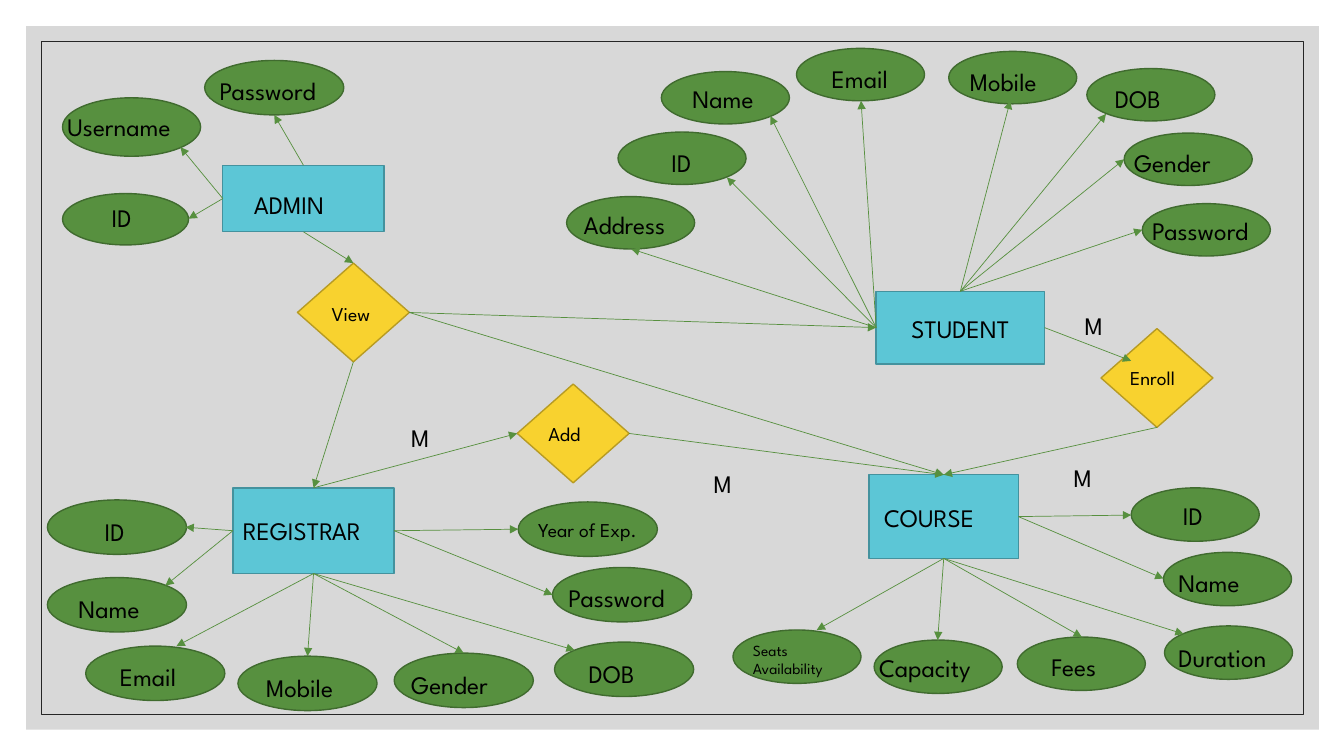
from lxml.etree import SubElement
from pptx import Presentation
from pptx.dml.color import RGBColor
from pptx.enum.shapes import MSO_CONNECTOR as Connector, MSO_SHAPE as Preset
from pptx.enum.text import MSO_ANCHOR as Anchor, MSO_AUTO_SIZE as AutoSize, PP_ALIGN as Align
from pptx.oxml.ns import qn
from pptx.util import Emu, Pt

EMU_PER_PX = 9144
TOP, LEFT, BOTTOM, RIGHT = range(4)

ENTITIES = [
    ("REGISTRAR", (231, 484, 160, 85), (231, 506, 160)),
    ("COURSE", (862, 471, 148, 83), (867, 493, 154)),
    ("ADMIN", (221, 164, 160, 66), (242, 183, 120)),
    ("STUDENT", (869, 289, 167, 72), (894, 306, 136)),
]

RELATIONS = [
    ("View", (295, 261), (319, 295, 144)),
    ("Add", (513, 381), (534, 414, 144)),
    ("Enroll", (1092, 326), (1111, 358, 144)),
]

ATTRIBUTES = [
    ("REGISTRAR", (138, 54), [
        ("Name", (47, 573), (68, 584, 118), LEFT, (164, 581)),
        ("Email", (85, 641), (109, 651, 115), BOTTOM, (175, 641)),
        ("Mobile", (236, 651), (254, 662, 122), BOTTOM, (305, 651)),
        ("Gender", (391, 648), (398, 659, 132), BOTTOM, (460, 648)),
        ("ID", (47, 496), (94, 507, 92), LEFT, (184, 523)),
        ("Password", (548, 563), (554, 573, 134), RIGHT, (548, 590)),
        ("Year of Exp.", (514, 498), (524, 509, 187), RIGHT, (514, 525), 14),
        ("DOB", (550, 637), (574, 648, 114), BOTTOM, (570, 645)),
    ]),
    ("COURSE", (127, 53), [
        ("Seats Availability", (727, 625), (737, 631, 127), BOTTOM, (810, 625), 11),
        ("Capacity", (867, 635), (862, 642, 137), BOTTOM, (930, 635)),
        ("Fees", (1009, 632), (1033, 641, 122), BOTTOM, (1073, 632)),
        ("Name", (1154, 548), (1159, 558, 123), RIGHT, (1154, 574)),
        ("ID", (1122, 484), (1097, 491, 172), RIGHT, (1122, 511), 18, Align.CENTER),
        ("Duration", (1155, 621), (1159, 632, 124), BOTTOM, (1174, 629)),
    ]),
    ("ADMIN", (137, 58), [("Username", (62, 97), (57, 106, 147), LEFT, (179, 146))]),
    ("ADMIN", (138, 54), [("Password", (203, 60), (208, 70, 140), TOP, (272, 114))]),
    ("ADMIN", (125, 51), [("ID", (62, 192), (101, 196, 86), LEFT, (187, 217))]),
    ("STUDENT", (127, 52), [
        ("Address", (562, 195), (569, 203, 120), LEFT, (626, 247)),
        ("ID", (613, 131), (656, 141, 85), LEFT, (721, 176)),
        ("Name", (656, 71), (677, 78, 96), LEFT, (764, 115)),
        ("Email", (790, 48), (815, 58, 85), LEFT, (854, 100)),
        ("Mobile", (941, 51), (952, 61, 120), TOP, (1002, 100)),
        ("DOB", (1078, 68), (1096, 78, 93), TOP, (1097, 113)),
        ("Gender", (1115, 132), (1115, 141, 119), TOP, (1115, 158)),
        ("Password", (1133, 202), (1133, 209, 137), TOP, (1133, 228)),
    ]),
]

LINKS = [
    ("View", RIGHT, "COURSE", TOP),
    ("Enroll", BOTTOM, "COURSE", TOP),
    ("ADMIN", BOTTOM, "View", TOP),
    ("View", RIGHT, "STUDENT", LEFT),
    ("View", BOTTOM, "REGISTRAR", TOP),
    ("Add", RIGHT, "COURSE", TOP),
    ("REGISTRAR", TOP, "Add", LEFT),
]

CARDINALITIES = [(398, 414, 54), (698, 460, 42), (1066, 303, 40), (1055, 454, 40)]


def color(value):
    """Turn a hex string into a colour."""
    return RGBColor.from_string(value)


def px(value):
    """Turn pixels into EMU."""
    return Emu(value * EMU_PER_PX)


def apply_format(target, values):
    """Set each attribute of the target from a dict."""
    for name, value in values.items():
        setattr(target, name, value)


class DiagramSlide:
    """Draw the elements of an entity diagram in one style."""

    frame_format = {"word_wrap": True, "auto_size": AutoSize.SHAPE_TO_FIT_TEXT,
                    "vertical_anchor": Anchor.TOP}
    font_format = {"name": "League Spartan", "bold": False}
    entity_style = {"fill": "5CC6D6", "line": "44929E"}
    attribute_style = {"fill": "57903F", "line": "406B2F"}
    relation_style = {"fill": "F8D22F", "line": "B79B23"}
    link_color = "57903F"

    def __init__(self, slide):
        """Start with an empty set of named nodes."""
        self.slide = slide
        self.nodes = {}

    def shape(self, preset, box, fill=None, line=None, weight=1):
        """Add a preset shape with an optional fill and outline."""
        shape = self.slide.shapes.add_shape(preset, *map(px, box))
        shape.shadow.inherit = False
        for paint, value in ((shape.fill, fill), (shape.line.fill, line)):
            if value:
                paint.solid()
                paint.fore_color.rgb = color(value)
            else:
                paint.background()
        if line:
            shape.line.width = Pt(weight)
        return shape

    def label(self, text, place, size=18, alignment=Align.LEFT):
        """Add a text box at a left, top and width."""
        box = self.slide.shapes.add_textbox(*map(px, (*place, 40)))
        apply_format(box.text_frame, self.frame_format)
        paragraph = box.text_frame.paragraphs[0]
        paragraph.alignment = alignment
        run = paragraph.add_run()
        run.text = text
        apply_format(run.font, {**self.font_format, "size": Pt(size)})
        run.font.color.rgb = color("000000")

    def link(self, source, side, point=(0, 0)):
        """Add an arrow from the side of a node to a point."""
        connector = self.slide.shapes.add_connector(
            Connector.STRAIGHT, 0, 0, *map(px, point))
        connector.begin_connect(self.nodes[source], side)
        connector.line.color.rgb = color(self.link_color)
        connector.line.width = Pt(0.5)
        SubElement(connector.line._get_or_add_ln(), qn("a:tailEnd"), type="triangle")
        SubElement(connector._element.spPr, qn("a:effectLst"))
        return connector

    def join(self, source, side, target, target_side):
        """Add an arrow between the sides of two nodes."""
        self.link(source, side).end_connect(self.nodes[target], target_side)

    def entity(self, name, box, place):
        """Add a labelled entity rectangle."""
        self.nodes[name] = self.shape(Preset.RECTANGLE, box, **self.entity_style)
        self.label(name, place)

    def relation(self, name, corner, place):
        """Add a labelled relation diamond."""
        self.nodes[name] = self.shape(Preset.DIAMOND, (*corner, 111, 98), **self.relation_style)
        self.label(name, place, 14)

    def attribute(self, owner, size, name, corner, place, side, point, *text_style):
        """Add a labelled attribute ellipse with an arrow from its owner."""
        self.shape(Preset.OVAL, (*corner, *size), **self.attribute_style)
        self.label(name, place, *text_style)
        self.link(owner, side, point)

    def backdrop(self):
        """Add the pale panel and its thin frame."""
        panel = self.shape(Preset.RECTANGLE, (26, 26, 1282, 698), fill="BFBFBF")
        shade = panel._element.spPr.find(qn("a:solidFill"))[0]
        SubElement(shade, qn("a:alpha"), val="60000")
        self.shape(Preset.RECTANGLE, (41, 41, 1252, 668), line="262626", weight=0.5)


def main():
    """Build the diagram and save it."""
    presentation = Presentation()
    apply_format(presentation, {"slide_width": px(1333), "slide_height": px(750)})
    diagram = DiagramSlide(presentation.slides.add_slide(presentation.slide_layouts[6]))
    diagram.backdrop()
    for entity in ENTITIES:
        diagram.entity(*entity)
    for relation in RELATIONS:
        diagram.relation(*relation)
    for owner, size, rows in ATTRIBUTES:
        for row in rows:
            diagram.attribute(owner, size, *row)
    for link in LINKS:
        diagram.join(*link)
    diagram.link("STUDENT", RIGHT, (1122, 358))
    for place in CARDINALITIES:
        diagram.label("M", place)
    presentation.save("out.pptx")


if __name__ == "__main__":
    main()
